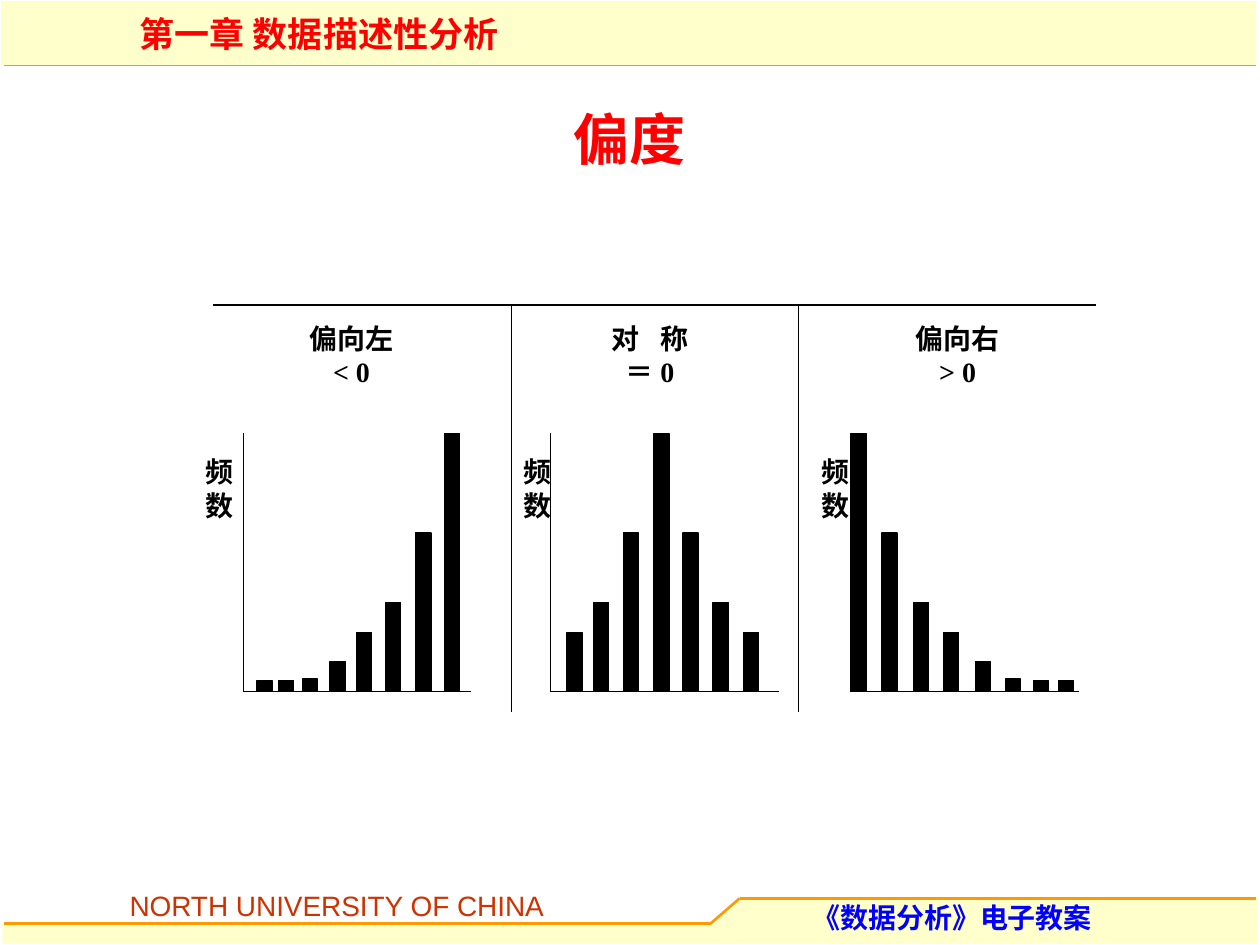
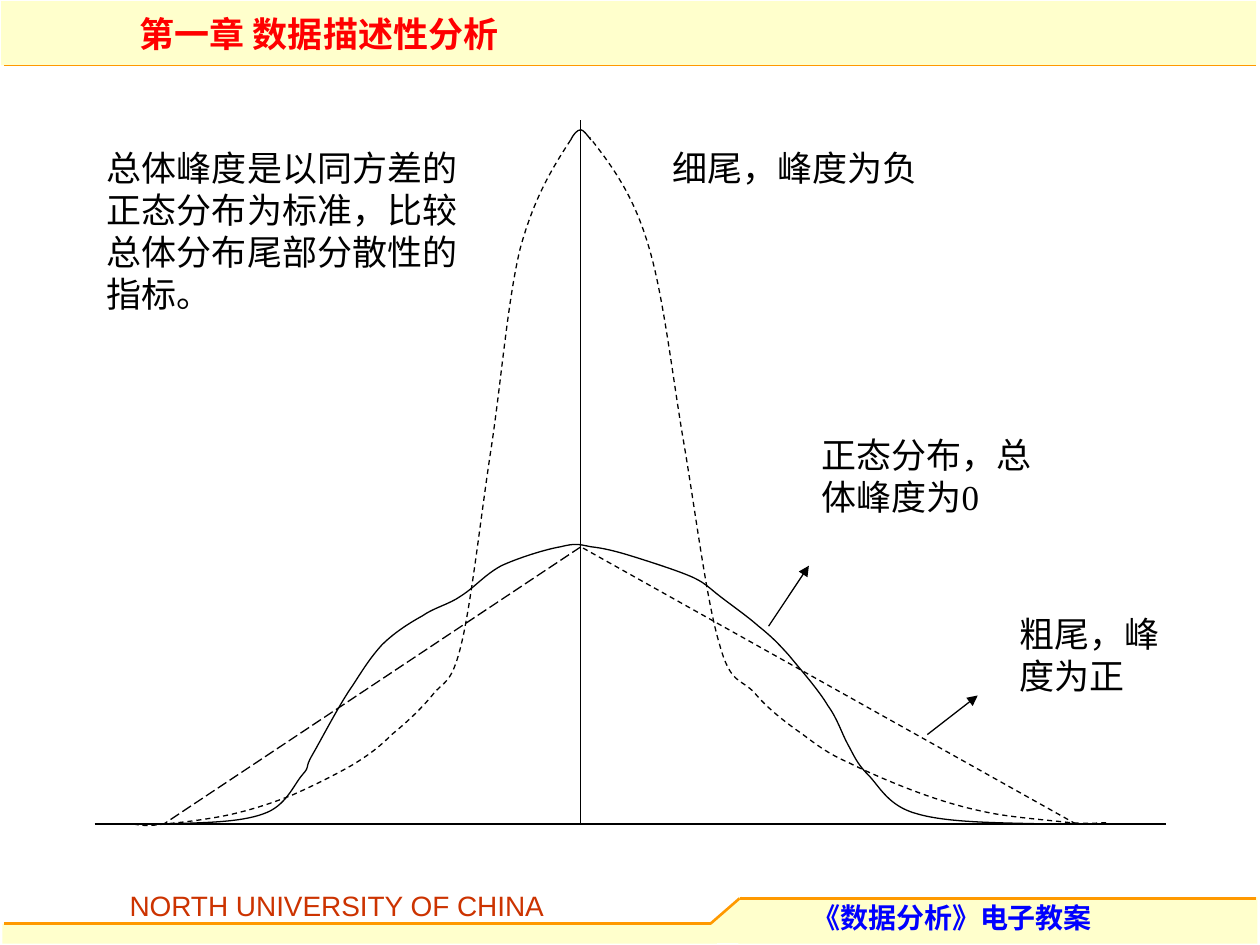
from lxml import etree
from pptx import Presentation
from pptx.dml.color import RGBColor
from pptx.enum import dml, shapes, text
from pptx.oxml import ns
from pptx.util import Inches, Pt

CREAM = RGBColor(0xFF, 0xFF, 0xCC)
ORANGE = RGBColor(0xFF, 0x99, 0x00)
RED = RGBColor(0xFF, 0x00, 0x00)
BRICK = RGBColor(0xCC, 0x33, 0x00)
BLUE = RGBColor(0x00, 0x00, 0xFF)
BLACK = RGBColor(0x00, 0x00, 0x00)

SANS, SERIF, CHINESE = "Arial", "Times New Roman", "Noto Sans CJK SC"
DASH, LONG_DASH = dml.MSO_LINE.DASH, dml.MSO_LINE.LONG_DASH

# Histogram panels
BASELINE, AXIS_TOP, AXIS_LENGTH, BAR_WIDTH = 5.49, 3.44, 1.81, 0.12
RISING = [0.09, 0.09, 0.1, 0.24, 0.47, 0.71, 1.26, 2.05]
FALLING = RISING[::-1]
PEAKED = RISING[4:] + FALLING[1:4]
# axis x, frequency label x, heading x, heading lines, bar heights, bar lefts
PANELS = [
    (1.93, 1.53, 2.16, ["偏向左", "< 0"], RISING,
     [2.04, 2.21, 2.4, 2.62, 2.83, 3.06, 3.3, 3.53]),
    (4.37, 4.06, 4.53, ["对 称", "＝ 0"], PEAKED,
     [4.5, 4.71, 4.95, 5.19, 5.42, 5.66, 5.9]),
    (6.75, 6.42, 6.97, ["偏向右", "> 0"], FALLING,
     [6.76, 7, 7.25, 7.49, 7.74, 7.98, 8.2, 8.4]),
]

# Bezier curves: a start point, then two handles and an end for each segment
CURVE_TIP = [(4.53, 1.11), (4.55, 1.07), (4.58, 1.03), (4.61, 1.03),
             (4.63, 1.03), (4.66, 1.07), (4.69, 1.11)]
THIN_LEFT = [
    (1.06, 6.54), (1.11, 6.55), (1.17, 6.56), (1.3, 6.54),
    (1.43, 6.53), (1.68, 6.5), (1.85, 6.46),
    (2.02, 6.42), (2.17, 6.37), (2.32, 6.31),
    (2.48, 6.24), (2.66, 6.15), (2.8, 6.07),
    (2.93, 5.99), (3.01, 5.93), (3.11, 5.83),
    (3.22, 5.74), (3.33, 5.64), (3.43, 5.52),
    (3.52, 5.4), (3.58, 5.45), (3.66, 5.12),
    (3.74, 4.8), (3.82, 4.07), (3.9, 3.55),
    (3.98, 3.02), (4.03, 2.38), (4.13, 1.97),
    (4.24, 1.57), (4.38, 1.34), (4.53, 1.11)]
THIN_RIGHT = [
    (8.78, 6.53), (8.72, 6.53), (8.66, 6.54), (8.5, 6.53),
    (8.34, 6.51), (8.05, 6.49), (7.85, 6.45),
    (7.65, 6.41), (7.48, 6.36), (7.29, 6.29),
    (7.1, 6.22), (6.89, 6.13), (6.73, 6.05),
    (6.57, 5.98), (6.48, 5.91), (6.36, 5.82),
    (6.23, 5.73), (6.09, 5.62), (5.99, 5.5),
    (5.88, 5.38), (5.8, 5.44), (5.71, 5.11),
    (5.61, 4.78), (5.52, 4.06), (5.43, 3.53),
    (5.34, 3.01), (5.27, 2.36), (5.15, 1.96),
    (5.03, 1.55), (4.86, 1.32), (4.68, 1.09)]
NORMAL = [
    (1.3, 6.54), (1.6, 6.53), (1.9, 6.53), (2.09, 6.46),
    (2.27, 6.4), (2.33, 6.23), (2.4, 6.15),
    (2.47, 6.07), (2.41, 6.11), (2.48, 5.99),
    (2.55, 5.87), (2.7, 5.58), (2.8, 5.44),
    (2.89, 5.3), (2.94, 5.22), (3.03, 5.12),
    (3.12, 5.03), (3.24, 4.95), (3.35, 4.89),
    (3.45, 4.82), (3.56, 4.8), (3.66, 4.73),
    (3.77, 4.66), (3.85, 4.56), (3.98, 4.49),
    (4.11, 4.43), (4.33, 4.36), (4.45, 4.34),
    (4.57, 4.31), (4.59, 4.32), (4.69, 4.34),
    (4.78, 4.35), (4.87, 4.37), (5, 4.41),
    (5.13, 4.45), (5.35, 4.52), (5.47, 4.57),
    (5.59, 4.62), (5.62, 4.66), (5.71, 4.73),
    (5.8, 4.8), (5.93, 4.89), (6.02, 4.97),
    (6.12, 5.05), (6.17, 5.1), (6.26, 5.2),
    (6.35, 5.31), (6.5, 5.48), (6.57, 5.6),
    (6.65, 5.71), (6.68, 5.82), (6.73, 5.91),
    (6.78, 6), (6.8, 6.06), (6.89, 6.15),
    (6.98, 6.24), (7.05, 6.4), (7.28, 6.46),
    (7.52, 6.53), (7.91, 6.53), (8.31, 6.54)]


def add_block(page, left, top, width, height, color, outlined=False,
              kind=shapes.MSO_SHAPE.RECTANGLE):
    block = page.shapes.add_shape(kind, Inches(left), Inches(top),
                                  Inches(width), Inches(height))
    block.shadow.inherit = False
    block.fill.solid()
    block.fill.fore_color.rgb = color
    if outlined:
        style_line(block.line, color, 0.75)
    else:
        block.line.fill.background()
    return block


def style_line(line, color, weight, dash=None):
    line.color.rgb = color
    line.width = Pt(weight)
    if dash:
        line.dash_style = dash


def add_line(page, start, end, color=BLACK, weight=0.75, dash=None, arrow=False):
    connector = page.shapes.add_connector(
        shapes.MSO_CONNECTOR.STRAIGHT, *map(Inches, start + end))
    style_line(connector.line, color, weight, dash)
    properties = connector._element.spPr
    if arrow:
        line = properties.find(ns.qn("a:ln"))
        etree.SubElement(line, ns.qn("a:tailEnd"), type="triangle")
    etree.SubElement(properties, ns.qn("a:effectLst"))


def add_curve(page, points, dash=None):
    """Draw a chain of cubic Bezier segments without fill."""
    start, *rest = [(Inches(x), Inches(y)) for x, y in points]
    builder = page.shapes.build_freeform(*start)
    builder.add_line_segments(rest, close=False)
    curve = builder.convert_to_shape()
    curve.shadow.inherit = False
    curve.fill.background()
    style_line(curve.line, BLACK, 0.75, dash)
    outline = next(curve._element.iter(ns.qn("a:path")))
    steps = outline.findall(ns.qn("a:lnTo"))
    for first in range(0, len(steps), 3):
        segment = etree.SubElement(outline, ns.qn("a:cubicBezTo"))
        for step in steps[first:first + 3]:
            segment.append(step[0])
            outline.remove(step)


def add_text(page, left, top, width, height, lines, size, font=SERIF,
             color=BLACK, bold=False, centered=False, inset=True, wrap=True):
    box = page.shapes.add_textbox(Inches(left), Inches(top),
                                  Inches(width), Inches(height))
    frame = box.text_frame
    frame.word_wrap = wrap
    if not inset:
        frame.margin_left = frame.margin_right = 0
        frame.margin_top = frame.margin_bottom = 0
    frame.text = "\n".join(lines)
    for para in frame.paragraphs:
        if centered:
            para.alignment = text.PP_ALIGN.CENTER
        para.font.name = font
        para.font.size = Pt(size)
        para.font.bold = bold
        para.font.color.rgb = color
        defaults = para._p.pPr.find(ns.qn("a:defRPr"))
        etree.SubElement(defaults, ns.qn("a:ea"), typeface=CHINESE)
    return frame


def add_label(page, left, top, width, height, lines):
    frame = add_text(page, left, top, width, height, lines, 16, bold=True,
                     centered=True, wrap=False)
    frame.vertical_anchor = text.MSO_ANCHOR.MIDDLE
    return frame


def widen_gap(para, points):
    """Widen the space between the two words of a paragraph."""
    first, second = para.text.split(" ")
    span = para.runs[0]
    span.text = first
    gap = para.add_run()
    gap.text = " "
    gap._r.get_or_add_rPr().set("spc", str(points * 100))
    para.add_run().text = second


def add_page(deck):
    """Add a blank page with the shared header and footer."""
    page = deck.slides.add_slide(deck.slide_layouts[6])
    add_block(page, 0.01, 0.01, 9.96, 0.51, CREAM)
    add_line(page, (0.03, 0.52), (9.97, 0.52), ORANGE, 1)
    slope = add_block(page, 5.49, 7.09, 0.37, 0.42, CREAM,
                      kind=shapes.MSO_SHAPE.RIGHT_TRIANGLE)
    slope.rotation = 270
    add_block(page, 5.86, 7.12, 4.12, 0.37, CREAM)
    add_block(page, 0.02, 7.33, 5.67, 0.16, CREAM)
    footer_line = [(0.03, 7.33), (5.64, 7.33), (5.87, 7.13), (9.97, 7.13)]
    for start, end in zip(footer_line, footer_line[1:]):
        add_line(page, start, end, ORANGE, 1.5)
    add_text(page, 0.93, 7, 3.6, 0.37, ["NORTH UNIVERSITY OF CHINA"], 16, SANS, BRICK)
    add_text(page, 6.45, 7.15, 2.87, 0.27, ["《数据分析》电子教案"], 16, CHINESE,
             BLUE, bold=True, inset=False)
    add_text(page, 1.11, 0.1, 4.61, 0.33, ["第一章 数据描述性分析"], 20, CHINESE,
             RED, bold=True, inset=False)
    return page


def add_histogram(page, axis, label_left, heading_left, heading, heights, lefts):
    add_line(page, (axis, AXIS_TOP), (axis, BASELINE))
    add_line(page, (axis, BASELINE), (axis + AXIS_LENGTH, BASELINE))
    for left, height in zip(lefts, heights):
        add_block(page, left, BASELINE - height, BAR_WIDTH, height, BLACK, outlined=True)
    add_label(page, label_left, 3.52, 0.39, 0.71, ["频", "数"])
    return add_label(page, heading_left, 2.5, 1.26, 0.63, heading)


def add_skewness_page(deck):
    page = add_page(deck)
    add_text(page, 0.5, 0.78, 9, 1, ["偏度"], 32, SANS, RED, bold=True, centered=True)
    add_line(page, (1.69, 2.42), (8.7, 2.42))
    for divider in (4.06, 6.34):
        add_line(page, (divider, 2.42), (divider, 5.65))
    headings = [add_histogram(page, *panel) for panel in PANELS]
    widen_gap(headings[1].paragraphs[0], 8)


def add_kurtosis_page(deck):
    page = add_page(deck)
    peak, left_foot, right_foot = (4.61, 4.34), (1.3, 6.54), (8.54, 6.54)
    add_curve(page, CURVE_TIP)
    add_line(page, (0.75, 6.54), (9.25, 6.54))
    add_line(page, (4.61, 6.54), (4.61, 0.95))
    add_curve(page, THIN_LEFT, DASH)
    add_curve(page, THIN_RIGHT, DASH)
    add_line(page, peak, left_foot, dash=LONG_DASH)
    add_line(page, right_foot, peak, dash=DASH)
    add_curve(page, NORMAL)
    add_line(page, (6.1, 4.97), (6.42, 4.49), arrow=True)
    add_line(page, (7.36, 5.83), (7.76, 5.52), arrow=True)
    for left, top, width, height, note in [
        (0.75, 1.11, 3.17, 1.44,
         "总体峰度是以同方差的正态分布为标准，比较总体分布尾部分散性的指标。"),
        (5.24, 1.11, 2.52, 0.44, "细尾，峰度为负"),
        (6.42, 3.39, 1.89, 0.77, "正态分布，总体峰度为0"),
        (7.99, 4.81, 1.49, 0.77, "粗尾，峰度为正"),
    ]:
        add_text(page, left, top, width, height, [note], 20)


def main():
    deck = Presentation()
    deck.slide_width, deck.slide_height = Inches(10), Inches(7.5)
    add_skewness_page(deck)
    add_kurtosis_page(deck)
    deck.save("out.pptx")


if __name__ == "__main__":
    main()
